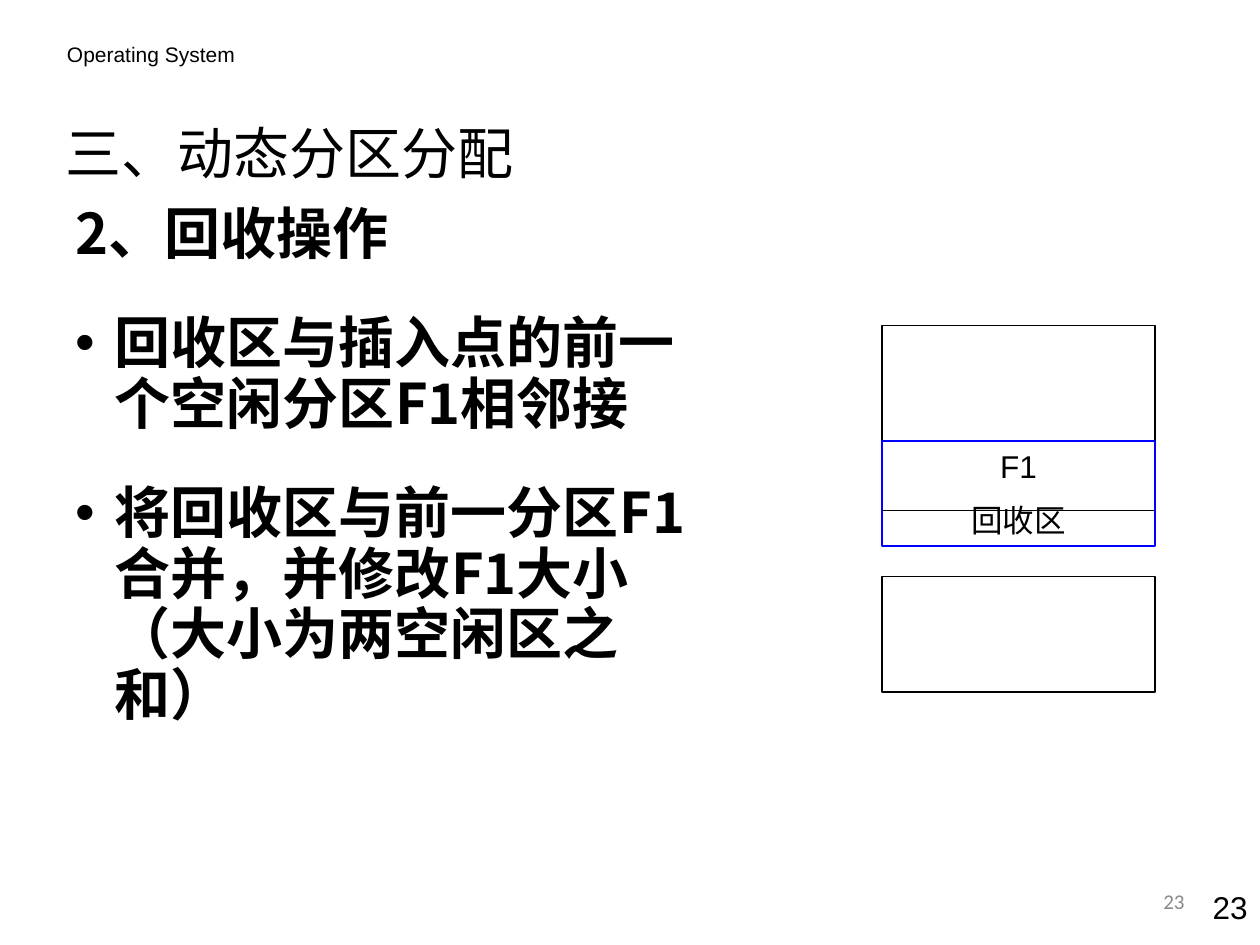
from dataclasses import dataclass

from lxml.etree import SubElement
from pptx import Presentation
from pptx.dml.color import RGBColor
from pptx.enum.shapes import MSO_CONNECTOR, MSO_SHAPE
from pptx.enum.text import MSO_ANCHOR, MSO_AUTO_SIZE, PP_ALIGN
from pptx.oxml.ns import qn
from pptx.util import Inches, Pt

COLUMNS, ROWS = 120, 90


@dataclass(frozen=True)
class Theme:
    black: RGBColor = RGBColor(0, 0, 0)
    blue: RGBColor = RGBColor(0, 0, 255)
    grey: RGBColor = RGBColor(0x89, 0x89, 0x89)
    small: int = 12
    medium: int = 18
    large: int = 32
    line_width: float = 0.75
    latin: str = "Arial"
    footer: str = "Calibri"
    chinese: str = "Noto Sans CJK SC"


class SlideBuilder:
    """Holds the theme and the current slide; lengths are grid columns and rows."""

    def __init__(self, presentation, theme):
        self.theme = theme
        self.column = presentation.slide_width / COLUMNS
        self.row = presentation.slide_height / ROWS
        self.slide = presentation.slides.add_slide(presentation.slide_layouts[1])
        self.diagram = None

    def box(self, left, top, width, height):
        return [round(left * self.column), round(top * self.row),
                round(width * self.column), round(height * self.row)]

    def fill_text(self, shape, texts, font, paragraph_format, anchor=MSO_ANCHOR.TOP):
        frame = shape.text_frame
        frame_format = {"word_wrap": True, "auto_size": MSO_AUTO_SIZE.NONE,
                        "vertical_anchor": anchor}
        for name, value in frame_format.items():
            setattr(frame, name, value)
        for index, text in enumerate(texts):
            paragraph = frame.paragraphs[0] if index == 0 else frame.add_paragraph()
            for name, value in paragraph_format.items():
                setattr(paragraph, name, value)
            if index == 0:
                paragraph.space_before = Pt(0)
            run = paragraph.add_run()
            run.text = text
            self.style(run, **font)

    def style(self, run, size, name, color=None, bold=False):
        font_format = {"size": Pt(size), "name": name, "bold": bold}
        for key, value in font_format.items():
            setattr(run.font, key, value)
        run.font.color.rgb = color or self.theme.black
        east_asian = SubElement(run.font._element, qn("a:ea"))
        east_asian.set("typeface", self.theme.chinese)

    def place(self, shape, area):
        for name, value in zip(("left", "top", "width", "height"), self.box(*area)):
            setattr(shape, name, value)

    def title(self, area, text):
        shape = self.slide.shapes.title
        self.place(shape, area)
        self.fill_text(shape, [text], {"size": self.theme.large, "name": self.theme.chinese},
                       {"alignment": PP_ALIGN.LEFT}, MSO_ANCHOR.MIDDLE)

    def body(self, area, heading, points):
        shape = self.slide.placeholders[1]
        self.place(shape, area)
        font = {"size": self.theme.large, "name": self.theme.chinese, "bold": True}
        self.fill_text(shape, [heading, *points], font,
                       {"line_spacing": 0.9, "space_before": Pt(28)})
        for index, paragraph in enumerate(shape.text_frame.paragraphs):
            properties = paragraph._p.get_or_add_pPr()
            properties.set("marL", str(Inches(0.31)))
            properties.set("indent", str(-Inches(0.31)))
            if index == 0:
                SubElement(properties, qn("a:buNone"))
            else:
                SubElement(properties, qn("a:buChar")).set("char", "•")

    def label(self, area, text, font, alignment=PP_ALIGN.LEFT, anchor=MSO_ANCHOR.TOP):
        shape = self.slide.shapes.add_textbox(*self.box(*area))
        self.fill_text(shape, [text], font, {"alignment": alignment}, anchor)

    def start_diagram(self):
        self.diagram = self.slide.shapes.add_group_shape().shapes

    def outline(self, line, color):
        line.color.rgb = color
        line.width = Pt(self.theme.line_width)

    def partition(self, area, color, texts=()):
        shape = self.diagram.add_shape(MSO_SHAPE.RECTANGLE, *self.box(*area))
        shape.shadow.inherit = False
        shape.fill.background()
        self.outline(shape.line, color)
        self.fill_text(shape, texts, {"size": self.theme.medium, "name": self.theme.latin},
                       {"alignment": PP_ALIGN.CENTER, "space_before": Pt(9)})

    def divider(self, left, top, width):
        x, y, length, _ = self.box(left, top, width, 0)
        connector = self.diagram.add_connector(MSO_CONNECTOR.STRAIGHT, x, y, x + length, y)
        self.outline(connector.line, self.theme.black)
        SubElement(connector._element.spPr, qn("a:effectLst"))


def main():
    presentation = Presentation()
    presentation.slide_width, presentation.slide_height = Inches(10), Inches(7.5)
    theme = Theme()
    builder = SlideBuilder(presentation, theme)

    # Running header, title and list
    builder.label((5.2, 3.4, 49.2, 3.6), "Operating System",
                  {"size": theme.small, "name": theme.latin})
    builder.title((5, 10, 68, 9), "三、动态分区分配")
    builder.body((6, 19, 62, 55), "2、回收操作", [
        "回收区与插入点的前一个空闲分区F1相邻接",
        "将回收区与前一分区F1合并，并修改F1大小（大小为两空闲区之和）",
    ])

    # Memory diagram: occupied blocks around F1 and the released area
    left, width = 84, 26
    builder.start_diagram()
    for top in (31, 54.9):
        builder.partition((left, top, width, 11), theme.black)
    builder.partition((left, 42, width, 10), theme.blue, ["F1", "回收区"])
    builder.divider(left, 48.6, width)

    # Page numbers
    builder.label((112, 84, 8, 4.8), "23", {"size": theme.medium, "name": theme.latin},
                  PP_ALIGN.RIGHT)
    builder.label((86, 83.4, 28, 4.8), "23",
                  {"size": theme.small, "name": theme.footer, "color": theme.grey},
                  PP_ALIGN.RIGHT, MSO_ANCHOR.MIDDLE)

    presentation.save("out.pptx")


if __name__ == "__main__":
    main()
